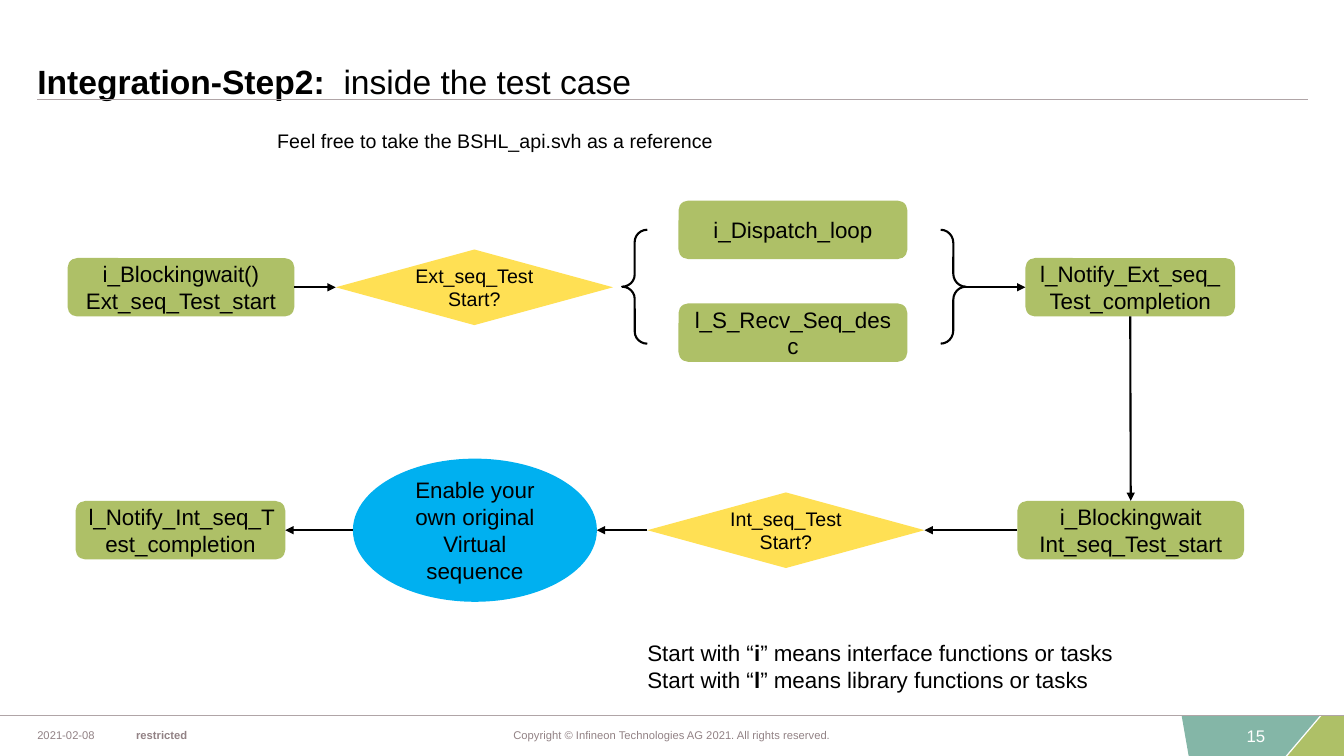
from lxml import etree
from pptx import Presentation
from pptx.dml.color import RGBColor
from pptx.enum import shapes, text
from pptx.oxml import ns
from pptx.util import Inches, Pt


def paint(color_format, value):
    color_format.rgb = RGBColor.from_string(value)


def set_text(frame, lines, size, color="000000", align="LEFT", anchor="MIDDLE", inset=0.0, wrap=True):
    frame.word_wrap = wrap
    frame.vertical_anchor = getattr(text.MSO_ANCHOR, anchor)
    frame.margin_left = frame.margin_right = Inches(inset)
    frame.margin_top = frame.margin_bottom = Inches(inset)
    for number, line in enumerate(lines):
        paragraph = frame.paragraphs[0] if number == 0 else frame.add_paragraph()
        paragraph.alignment = getattr(text.PP_ALIGN, align)
        for words, bold in line:
            run = paragraph.add_run()
            run.text = words
            run.font.name = "Arial"
            run.font.size = Pt(size)
            run.font.bold = bold
            paint(run.font.color, color)


deck = Presentation()
deck.slide_width, deck.slide_height = Inches(13.33), Inches(7.5)
slide = deck.slides.add_slide(deck.slide_layouts[5])
canvas = slide.shapes

corner_bands = [
    ("AEC067", [(13.11, 7.1), (13.33, 7.1), (13.33, 7.5), (12.77, 7.5)]),
    ("84B6A7", [(11.72, 7.1), (13.09, 7.1), (12.75, 7.5), (11.79, 7.5)]),
]
for fill, corners in corner_bands:
    points = [(Inches(x), Inches(y)) for x, y in corners]
    builder = canvas.build_freeform(*points[0], scale=1.0)
    builder.add_line_segments(points[1:], close=True)
    band = builder.convert_to_shape()
    band.shadow.inherit = False
    band.fill.solid()
    paint(band.fill.fore_color, fill)
    band.line.fill.background()

for left, right, y in [(0, 13.33, 7.1), (0.37, 12.97, 0.99)]:
    rule = canvas.add_connector(
        shapes.MSO_CONNECTOR.STRAIGHT, Inches(left), Inches(y), Inches(right), Inches(y))
    rule.line.width = Pt(0.75)
    paint(rule.line.color, "B0A5A7")
    etree.SubElement(rule._element.spPr, ns.qn("a:effectLst"))

footer = [
    (4.97, 3.39, "Copyright © Infineon Technologies AG 2021. All rights reserved.", False, 8, "928285", "CENTER"),
    (1.35, 1.06, "restricted", True, 8, "928285", "LEFT"),
    (0.37, 0.67, "2021-02-08", False, 8, "928285", "LEFT"),
    (12.13, 0.42, "15", False, 12, "FFFFFF", "RIGHT"),
]
for left, width, words, bold, size, color, align in footer:
    entry = canvas.add_textbox(Inches(left), Inches(7.1), Inches(width), Inches(0.39))
    set_text(entry.text_frame, [[(words, bold)]], size, color, align, wrap=False)

heading = canvas.title
heading.left, heading.top = Inches(0.37), Inches(0.21)
heading.width, heading.height = Inches(10.8), Inches(0.79)
set_text(heading.text_frame, [[("Integration-Step2:  ", True), ("inside the test case", False)]],
         24, anchor="BOTTOM")

notes = [
    (2.75, 1, 4.83, 14, [[("Feel free to take the BSHL_api.svh as a reference", False)]]),
    (6.42, 6.21, 5.2, 16, [
        [("Start with “", False), (prefix, True), (f"” means {meaning} functions or tasks", False)]
        for prefix, meaning in [("i", "interface"), ("l", "library")]]),
]
for left, top, width, size, lines in notes:
    note = canvas.add_textbox(Inches(left), Inches(top), Inches(width), Inches(0.79))
    set_text(note.text_frame, lines, size)

kinds = {
    "task": (shapes.MSO_SHAPE.ROUNDED_RECTANGLE, 0.58, "AEC067", 16),
    "check": (shapes.MSO_SHAPE.DIAMOND, 0.75, "FFE054", 14),
    "sequence": (shapes.MSO_SHAPE.OVAL, 1.42, "00B0F0", 16),
}
upper, lower = 2.85, 5.26
steps = [
    ("wait_ext", "task", 0.67, upper, 2.25, "i_Blockingwait() Ext_seq_Test_start"),
    ("dispatch", "task", 6.73, upper - 0.57, 2.27, "i_Dispatch_loop"),
    ("check_ext", "check", 3.33, upper, 2.75, "Ext_seq_Test Start?"),
    ("receive", "task", 6.73, upper + 0.45, 2.27, "l_S_Recv_Seq_desc"),
    ("notify_ext", "task", 10.17, upper, 2.08, "l_Notify_Ext_seq_Test_completion"),
    ("wait_int", "task", 10.09, lower, 2.25, "i_Blockingwait Int_seq_Test_start"),
    ("check_int", "check", 6.42, lower, 2.75, "Int_seq_Test Start?"),
    ("notify_int", "task", 0.75, lower, 2.08, "l_Notify_Int_seq_Test_completion"),
    ("virtual", "sequence", 3.5, lower, 2.42, "Enable your own original Virtual sequence"),
]
flow = {}
for key, kind, left, middle, width, words in steps:
    preset, height, fill, size = kinds[kind]
    step = canvas.add_shape(
        preset, Inches(left), Inches(middle - height / 2), Inches(width), Inches(height))
    step.shadow.inherit = False
    step.fill.solid()
    paint(step.fill.fore_color, fill)
    step.line.fill.background()
    set_text(step.text_frame, [[(words, False)]], size, align="CENTER", inset=0.08)
    flow[key] = step

for preset, left, curl in [(shapes.MSO_SHAPE.LEFT_BRACE, 6.17, 0.48),
                           (shapes.MSO_SHAPE.RIGHT_BRACE, 9.33, 0.52)]:
    brace = canvas.add_shape(preset, Inches(left), Inches(2.28), Inches(0.25), Inches(1.13))
    brace.adjustments[0] = curl
    brace.shadow.inherit = False
    brace.fill.background()
    brace.line.width = Pt(1.5)
    paint(brace.line.color, "000000")

arrows = [
    ((2.92, upper), (3.33, upper), ("wait_ext", 3), ("check_ext", 1)),
    ((9.58, upper), (10.17, upper), None, ("notify_ext", 1)),
    ((11.21, 3.14), (11.21, 4.97), ("notify_ext", 2), ("wait_int", 0)),
    ((10.09, lower), (9.17, lower), ("wait_int", 1), ("check_int", 3)),
    ((6.42, lower), (5.92, lower), ("check_int", 1), None),
    ((3.5, lower), (2.83, lower), None, ("notify_int", 3)),
]
for start, end, source, target in arrows:
    arrow = canvas.add_connector(
        shapes.MSO_CONNECTOR.STRAIGHT, *[Inches(value) for value in start + end])
    if source:
        arrow.begin_connect(flow[source[0]], source[1])
    if target:
        arrow.end_connect(flow[target[0]], target[1])
    arrow.line.width = Pt(1.5)
    paint(arrow.line.color, "000000")
    etree.SubElement(arrow.line._get_or_add_ln(), ns.qn("a:tailEnd"), type="triangle")
    etree.SubElement(arrow._element.spPr, ns.qn("a:effectLst"))

deck.save("out.pptx")
